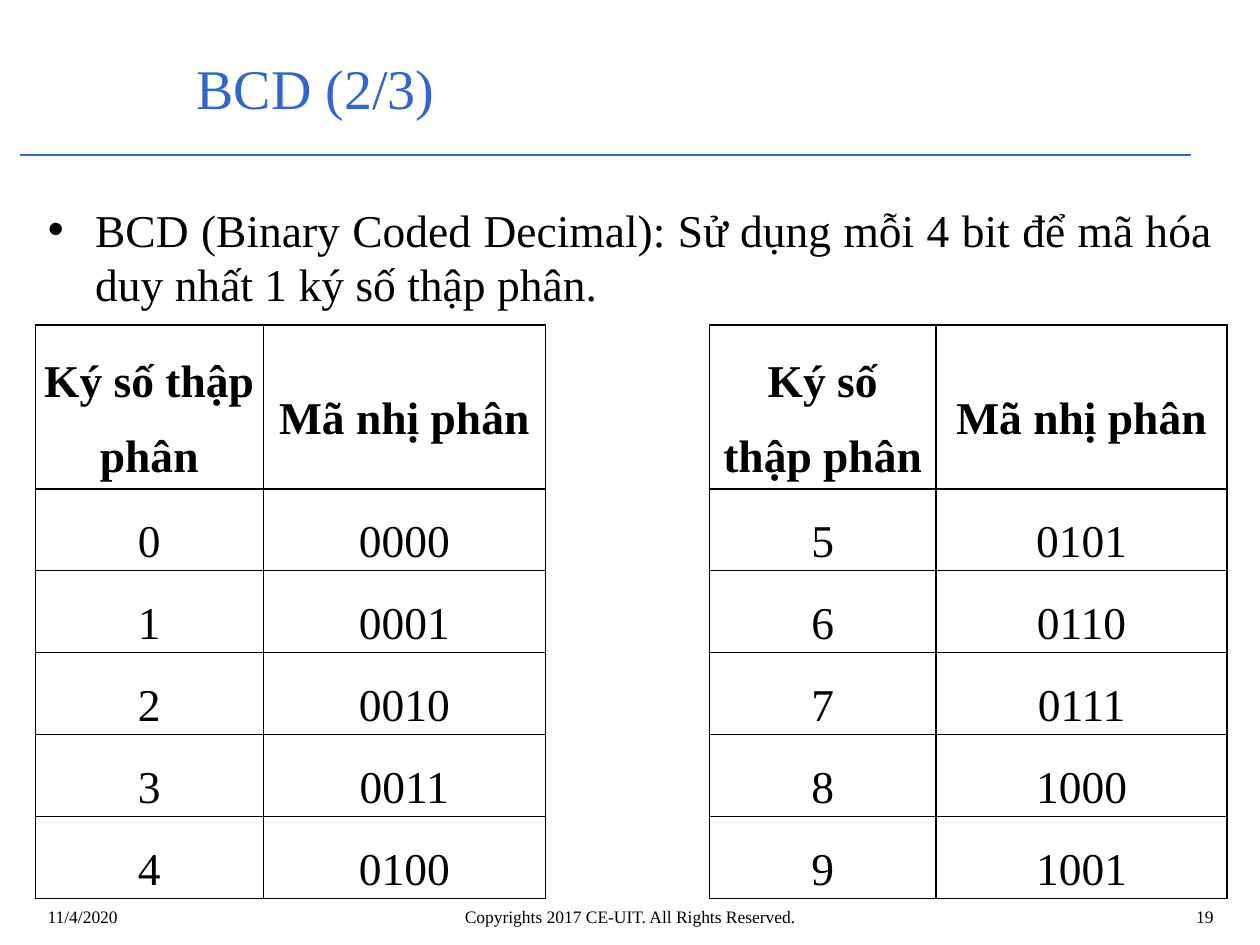
from typing import NamedTuple

from lxml import etree
from pptx import Presentation
from pptx.dml.color import RGBColor
from pptx.enum.shapes import MSO_CONNECTOR
from pptx.enum.text import MSO_ANCHOR, MSO_AUTO_SIZE, PP_ALIGN
from pptx.oxml.ns import qn
from pptx.util import Inches, Pt

LEFT, CENTER, RIGHT, JUSTIFY = PP_ALIGN.LEFT, PP_ALIGN.CENTER, PP_ALIGN.RIGHT, PP_ALIGN.JUSTIFY
MIDDLE, TOP = MSO_ANCHOR.MIDDLE, MSO_ANCHOR.TOP
STRAIGHT = MSO_CONNECTOR.STRAIGHT
NO_AUTOFIT = MSO_AUTO_SIZE.NONE

BLUE = RGBColor(0x33, 0x66, 0xCC)
BULLET_BLUE = RGBColor(0x00, 0x33, 0x99)
BLACK = RGBColor(0, 0, 0)
FONT = "Times New Roman"

HEADINGS = ["Ký số thập phân", "Mã nhị phân"]
COLUMN_WIDTHS = [1.81, 2.24, 1.3, 1.8, 2.31]
GAP_COLUMN = 2
ROW_HEIGHT = 0.39


class FooterItem(NamedTuple):
    text: str
    left: float
    width: float
    align: PP_ALIGN


FOOTER = [
    FooterItem("11/4/2020", 0.28, 2.33, LEFT),
    FooterItem("19", 7.81, 1.92, RIGHT),
    FooterItem("Copyrights 2017 CE-UIT. All Rights Reserved.", 1.93, 6.14, CENTER),
]


def place(shape, left: float, top: float, width: float, height: float) -> None:
    shape.left, shape.top = Inches(left), Inches(top)
    shape.width, shape.height = Inches(width), Inches(height)


def write(frame, text: str, size: float, align: PP_ALIGN, color=BLACK, bold=False):
    """Fill the frame with one formatted paragraph and return it."""
    frame.text = text
    paragraph = frame.paragraphs[0]
    paragraph.alignment = align
    font = paragraph.font
    font.name, font.size, font.bold = FONT, Pt(size), bold
    font.color.rgb = color
    return paragraph


def add_title(slide) -> None:
    title = slide.shapes.title
    place(title, 1.46, 0.31, 8.04, 0.76)
    frame = title.text_frame
    frame.auto_size = NO_AUTOFIT
    frame.vertical_anchor = MIDDLE
    write(frame, "BCD (2/3)", 32, LEFT, BLUE)


def add_rule(slide) -> None:
    rule = slide.shapes.add_connector(
        STRAIGHT, Inches(0.16), Inches(1.23), Inches(9.45), Inches(1.23))
    rule.line.color.rgb = BLUE
    rule.line.width = Pt(0.75)
    etree.SubElement(rule._element.spPr, qn("a:effectLst"))


def set_square_bullet(paragraph) -> None:
    properties = paragraph._p.get_or_add_pPr()
    properties.set("marL", str(Inches(0.38)))
    properties.set("indent", str(-Inches(0.38)))
    color = etree.SubElement(properties, qn("a:buClr"))
    etree.SubElement(color, qn("a:srgbClr"), val=str(BULLET_BLUE))
    etree.SubElement(properties, qn("a:buSzPct"), val="80000")
    etree.SubElement(properties, qn("a:buFont"), typeface=FONT)
    etree.SubElement(properties, qn("a:buChar"), char="■")


def add_definition(slide) -> None:
    body = slide.placeholders[1]
    place(body, 0.28, 1.55, 9.45, 5.28)
    frame = body.text_frame
    frame.auto_size = NO_AUTOFIT
    frame.vertical_anchor = TOP
    set_square_bullet(frame.paragraphs[0])
    definition = write(
        frame,
        "BCD (Binary Coded Decimal): Sử dụng mỗi 4 bit để mã hóa duy nhất 1 ký số thập phân.",
        26, JUSTIFY)
    definition.space_before = Pt(0)


def set_borders(cell, visible_sides: str) -> None:
    properties = cell._tc.get_or_add_tcPr()
    for side in "LRTB":
        border = etree.SubElement(properties, qn(f"a:ln{side}"), w=str(Pt(1)))
        if side in visible_sides:
            fill = etree.SubElement(border, qn("a:solidFill"))
            etree.SubElement(fill, qn("a:srgbClr"), val=str(BLACK))
        else:
            etree.SubElement(border, qn("a:noFill"))


def add_code_table(slide) -> None:
    rows = [HEADINGS + [""] + HEADINGS]
    rows += [[str(n), f"{n:04b}", "", str(n + 5), f"{n + 5:04b}"] for n in range(5)]
    graphic_frame = slide.shapes.add_table(
        len(rows), len(COLUMN_WIDTHS),
        Inches(0.28), Inches(2.58), Inches(9.45), Inches(4.08))
    table = graphic_frame.table
    table.first_row = table.horz_banding = False
    for column, width in zip(table.columns, COLUMN_WIDTHS):
        column.width = Inches(width)
    for row_index, values in enumerate(rows):
        table.rows[row_index].height = Inches(ROW_HEIGHT)
        for column_index, value in enumerate(values):
            cell = table.cell(row_index, column_index)
            is_gap = column_index == GAP_COLUMN
            set_borders(cell, "LR" if is_gap else "LRTB")
            cell.fill.background()
            if is_gap:
                continue
            cell.vertical_anchor = MIDDLE
            cell.margin_left = cell.margin_right = Inches(0.07)
            cell.margin_top = cell.margin_bottom = 0
            paragraph = write(cell.text_frame, value, 26, CENTER, bold=row_index == 0)
            paragraph.line_spacing = 1.5
    graphic_frame.height = Inches(4.08)


def add_footer_item(slide, item: FooterItem) -> None:
    box = slide.shapes.add_textbox(
        Inches(item.left), Inches(7.14), Inches(item.width), Inches(0.32))
    box.text_frame.word_wrap = True
    write(box.text_frame, item.text, 10, item.align)


def main() -> None:
    presentation = Presentation()
    presentation.slide_width, presentation.slide_height = Inches(10), Inches(7.5)
    slide = presentation.slides.add_slide(presentation.slide_layouts[1])
    add_rule(slide)
    add_title(slide)
    add_definition(slide)
    for item in FOOTER:
        add_footer_item(slide, item)
    add_code_table(slide)
    presentation.save("out.pptx")


if __name__ == "__main__":
    main()
